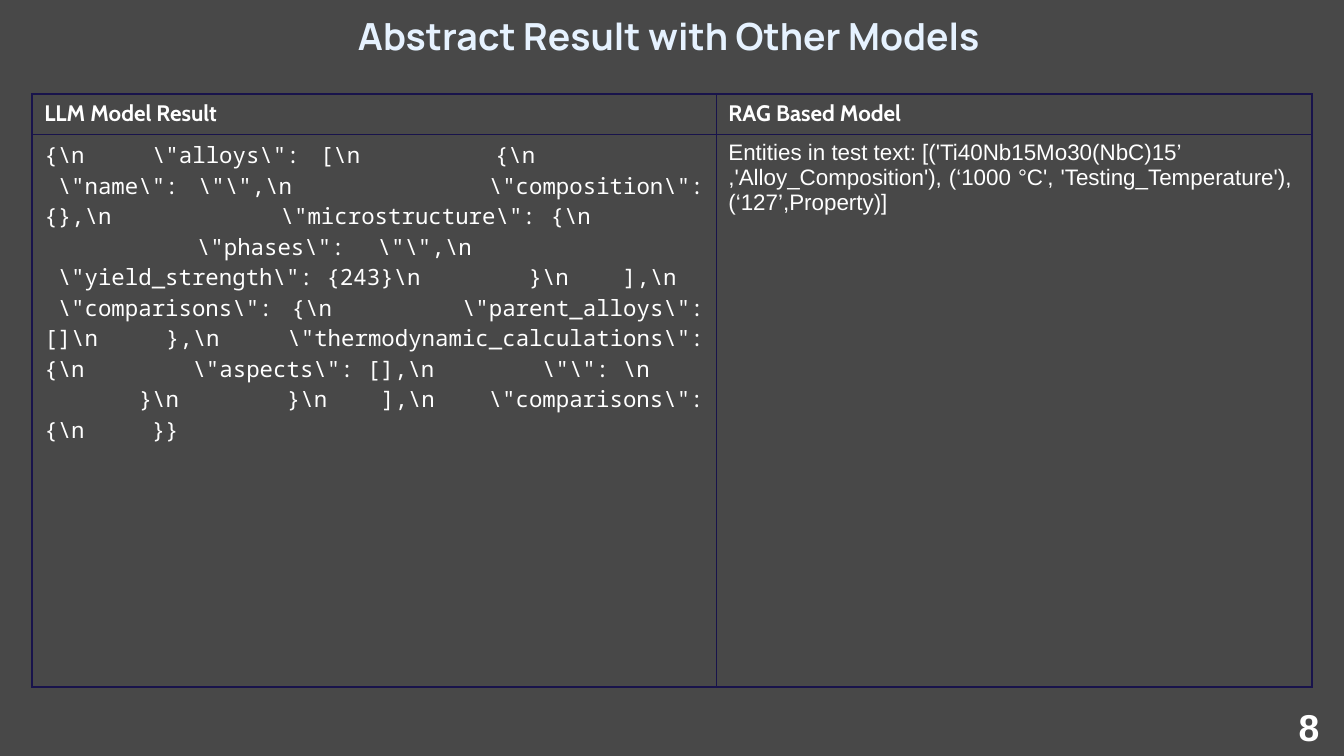
from lxml.etree import SubElement
from pptx import Presentation
from pptx.dml.color import RGBColor
from pptx.enum.text import MSO_ANCHOR, PP_ALIGN
from pptx.oxml.ns import qn
from pptx.util import Inches, Pt

BACKGROUND = RGBColor(0x48, 0x48, 0x48)
TITLE_BLUE = RGBColor(0xE6, 0xF2, 0xFF)
WHITE = RGBColor(0xFF, 0xFF, 0xFF)
BORDER = RGBColor(0x18, 0x13, 0x4B)

# Content
TITLE = "Abstract Result with Other Models "
PAGE_NUMBER = "8"
HEADINGS = ["LLM Model Result", "RAG Based Model"]
LLM_OUTPUT = [  # (depth, code)
    (0, r'{'),
    (1, r'\"alloys\": ['),
    (2, r'{'),
    (3, r'\"name\": \"\",'),
    (3, r'\"composition\": {},'),
    (3, r'\"microstructure\": {'),
    (4, r'\"phases\": \"\",'),
    (3, r'\"yield_strength\": {243}'),
    (2, r'}'),
    (1, r'],'),
    (1, r'\"comparisons\": {'),
    (2, r'\"parent_alloys\": []'),
    (1, r'},'),
    (1, r'\"thermodynamic_calculations\": {'),
    (2, r'\"aspects\": [],'),
    (2, r'\"\": '),
    (3, r'}'),
    (2, r'}'),
    (1, r'],'),
    (1, r'\"comparisons\": {'),
    (1, r' }}'),
]
RAG_OUTPUT = [
    "Entities in test text: [('Ti40Nb15Mo30(NbC)15’",
    ",'Alloy_Composition'), (‘1000 °C', 'Testing_Temperature'),  (‘127’,Property)]",
]

# Each depth is two pairs of a plain and a non-breaking space
INDENT = (" " + chr(160)) * 2
llm_text = r"\n".join(INDENT * depth + code for depth, code in LLM_OUTPUT)

COLUMN_WIDTHS = [5.09, 4.43]
ROW_HEIGHTS = [0.3, 4.11]
ROWS = [  # (font, bold, paragraphs of each cell)
    [("Cabin", True, [heading]) for heading in HEADINGS],
    [("Noto Sans Mono", False, [llm_text]), ("Arial", False, RAG_OUTPUT)],
]


def write(frame, lines, font, size, color, bold, align):
    for i, line in enumerate(lines):
        paragraph = frame.paragraphs[0] if i == 0 else frame.add_paragraph()
        paragraph.alignment = align
        run = paragraph.add_run()
        run.text = line
        run.font.name = font
        run.font.size = Pt(size)
        run.font.bold = bold
        run.font.color.rgb = color


def add_label(slide, text, box, inset, font, color):
    frame = slide.shapes.add_textbox(*map(Inches, box)).text_frame
    frame.word_wrap = True
    frame.vertical_anchor = MSO_ANCHOR.TOP
    frame.margin_top = frame.margin_bottom = Inches(inset)
    write(frame, [text], font, 20, color, True, PP_ALIGN.CENTER)


def add_borders(cell):
    properties = cell._tc.get_or_add_tcPr()
    for i, side in enumerate(("a:lnL", "a:lnR", "a:lnT", "a:lnB")):
        line = properties.makeelement(qn(side), {"w": str(Pt(1))})
        fill = SubElement(line, qn("a:solidFill"))
        SubElement(fill, qn("a:srgbClr"), val=str(BORDER))
        properties.insert(i, line)


# A 16:9 slide
prs = Presentation()
prs.slide_width = Inches(10)
prs.slide_height = Inches(10) * 9 // 16
slide = prs.slides.add_slide(prs.slide_layouts[6])
slide.background.fill.solid()
slide.background.fill.fore_color.rgb = BACKGROUND

# Comparison table
results = slide.shapes.add_table(
    len(ROWS), len(HEADINGS), Inches(0.24), Inches(0.7),
    Inches(sum(COLUMN_WIDTHS)), Inches(sum(ROW_HEIGHTS))).table
results.first_row = results.horz_banding = False
for column, width in zip(results.columns, COLUMN_WIDTHS):
    column.width = Inches(width)
for r, (height, row) in enumerate(zip(ROW_HEIGHTS, ROWS)):
    results.rows[r].height = Inches(height)
    for c, (font, bold, lines) in enumerate(row):
        cell = results.cell(r, c)
        cell.fill.background()
        cell.margin_left = cell.margin_right = Inches(0.09)
        cell.margin_top = cell.margin_bottom = Inches(0.04)
        write(cell.text_frame, lines, font, 12, WHITE, bold, PP_ALIGN.JUSTIFY)
        add_borders(cell)

# Title and page number
add_label(slide, TITLE, (0, 0, 10.01, 0.45), 0.1, "Manrope", TITLE_BLUE)
add_label(slide, PAGE_NUMBER, (9.48, 5.19, 0.52, 0.44), 0.05, "Arial", WHITE)

prs.save("out.pptx")
